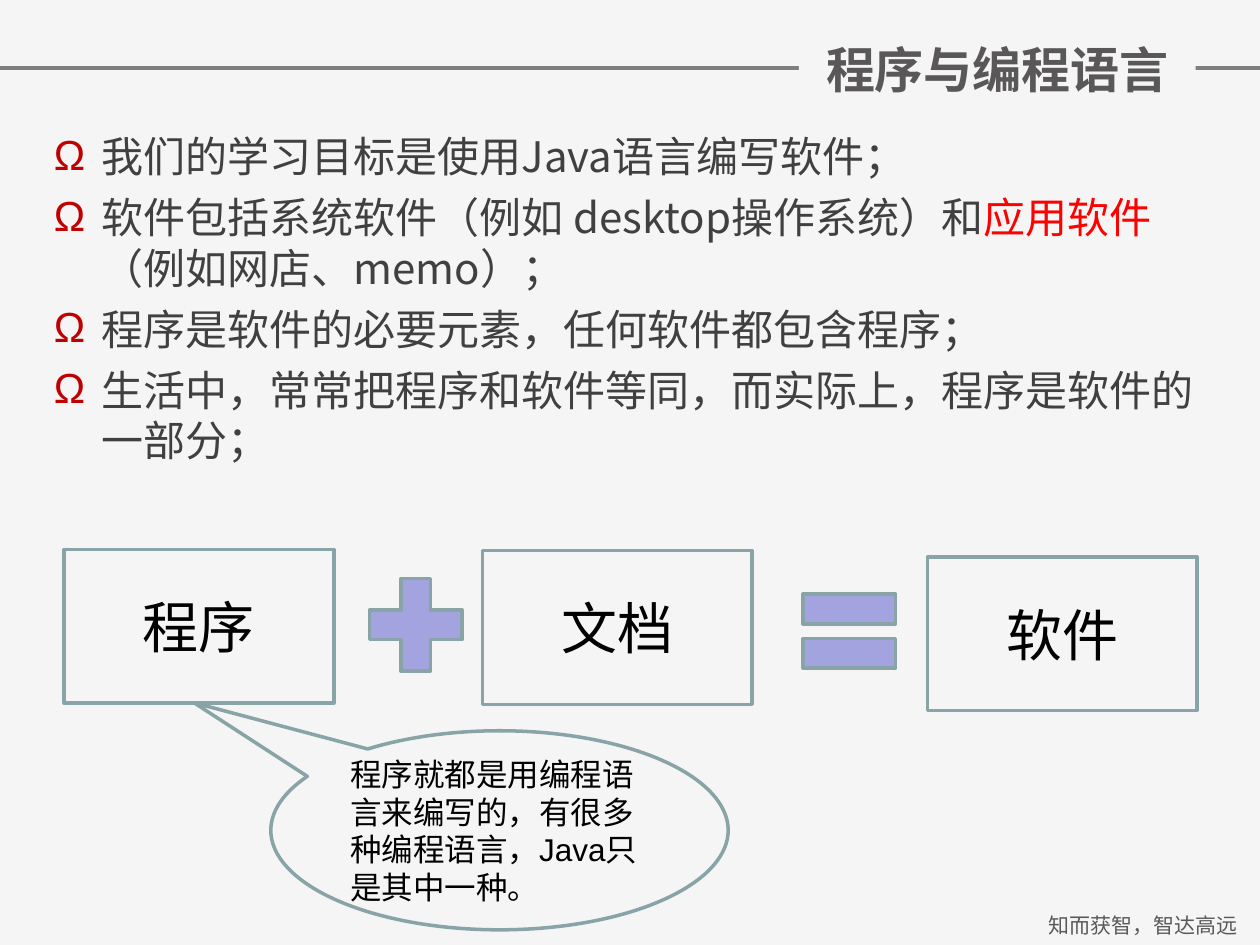
from pptx import Presentation, util as u
from pptx.dml.color import RGBColor
from pptx.enum import shapes, text
from pptx.oxml.ns import qn
from lxml import etree

TITLE = "程序与编程语言"
MOTTO = "知而获智，智达高远"
# Each point is a list of (words, colour name) runs.
POINTS = [
    [("我们的学习目标是使用Java语言编写软件；", "body")],
    [("软件包括系统软件（例如 desktop操作系统）和", "body"),
     ("应用软件", "key"), ("（例如网店、memo）；", "body")],
    [("程序是软件的必要元素，任何软件都包含程序；", "body")],
    [("生活中，常常把程序和软件等同，而实际上，程序是软件的一部分；", "body")],
]
BOXES = [("程序", 0.51, 4.36), ("文档", 3.83, 4.37), ("软件", 7.36, 4.42)]
BOX = (2.14, 1.22)
KIND = shapes.MSO_SHAPE
SIGNS = [(KIND.MATH_PLUS, 2.8, 4.46), (KIND.MATH_EQUAL, 6.24, 4.51)]
NOTE = "程序就都是用编程语言来编写的，有很多种编程语言，Java只是其中一种。"
TAIL = (-0.668, -0.641)

THEME = {
    "sans": "Noto Sans CJK SC", "plain": "Arial",
    "back": "F5F5F5", "rule": "7F7F7F", "title": "595758", "motto": "595959",
    "body": "404040", "key": "FF0000", "bullet": "C00000",
    "edge": "89A4A7", "sign": "A3A3E0", "ink": "000000",
    "size": {"title": 28, "motto": 12, "body": 24, "box": 32, "note": 18},
    "line": 2,
}
ALIGN = text.PP_ALIGN


def color(name):
    return RGBColor.from_string(THEME[name])


def place(*nums):
    return [u.Inches(n) for n in nums]


def style(font, face, size, tone=None, bold=False):
    font.name = THEME[face]
    font.size = u.Pt(THEME["size"][size])
    font.bold = bold
    if tone:
        font.color.rgb = color(tone)


def add_run(para, words, face):
    """Add a run, naming the East Asian face too where it is a sans one."""
    run = para.add_run()
    run.text = words
    if face == "sans":
        props = run._r.get_or_add_rPr()
        etree.SubElement(props, qn("a:ea")).set("typeface", THEME[face])
    return run


def write(shape, words, face, size, tone, align=ALIGN.CENTER, bold=False):
    frame = shape.text_frame
    frame.word_wrap = True
    frame.vertical_anchor = text.MSO_ANCHOR.MIDDLE
    para = frame.paragraphs[0]
    para.alignment = align
    style(para.font, face, size, tone, bold)
    add_run(para, words, face)


def add_form(slide, kind, spot, fill=None):
    form = slide.shapes.add_shape(kind, *place(*spot))
    form.shadow.inherit = False
    if fill:
        form.fill.solid()
        form.fill.fore_color.rgb = color(fill)
    else:
        form.fill.background()
    form.line.color.rgb = color("edge")
    form.line.width = u.Pt(THEME["line"])
    return form


def add_bullet(para):
    props = para._p.get_or_add_pPr()
    props.set("marL", str(u.Inches(0.38)))
    props.set("indent", str(-u.Inches(0.38)))
    tint = etree.SubElement(props, qn("a:buClr"))
    etree.SubElement(tint, qn("a:srgbClr")).set("val", THEME["bullet"])
    etree.SubElement(props, qn("a:buFont")).set("typeface", THEME["plain"])
    etree.SubElement(props, qn("a:buChar")).set("char", "Ω")


def add_head(slide):
    rule = slide.shapes.add_connector(
        shapes.MSO_CONNECTOR.STRAIGHT, *place(0, 0.54, 10, 0.54))
    rule.line.color.rgb = color("rule")
    rule.line.width = u.Pt(THEME["line"])
    etree.SubElement(rule._element.spPr, qn("a:effectLst"))
    motto = slide.shapes.add_textbox(*place(8.15, 7.19, 1.85, 0.3))
    write(motto, MOTTO, "sans", "motto", "motto")
    title = slide.shapes.add_textbox(*place(6.34, 0.26, 3.15, 0.57))
    title.fill.solid()
    title.fill.fore_color.rgb = color("back")
    write(title, TITLE, "sans", "title", "title", bold=True)


def add_points(slide):
    frame = slide.shapes.add_textbox(*place(0.33, 0.99, 9.37, 2.84)).text_frame
    frame.word_wrap = True
    for i, runs in enumerate(POINTS):
        para = frame.add_paragraph() if i else frame.paragraphs[0]
        para.space_before = u.Pt(6)
        add_bullet(para)
        style(para.font, "sans", "body")
        for words, tone in runs:
            add_run(para, words, "sans").font.color.rgb = color(tone)


def add_sum(slide):
    for words, left, top in BOXES:
        box = add_form(slide, KIND.RECTANGLE, (left, top, *BOX))
        write(box, words, "plain", "box", "ink")
    for kind, left, top in SIGNS:
        add_form(slide, kind, (left, top, 1, 1), "sign")
    note = add_form(slide, KIND.OVAL_CALLOUT, (2.15, 5.8, 3.63, 1.58))
    for i, part in enumerate(TAIL):
        note.adjustments[i] = part
    write(note, NOTE, "plain", "note", "ink", ALIGN.LEFT)


def main():
    deck = Presentation()
    deck.slide_width, deck.slide_height = place(10, 7.5)
    slide = deck.slides.add_slide(deck.slide_layouts[6])
    slide.background.fill.solid()
    slide.background.fill.fore_color.rgb = color("back")
    add_head(slide)
    add_points(slide)
    add_sum(slide)
    deck.save("out.pptx")


if __name__ == "__main__":
    main()
